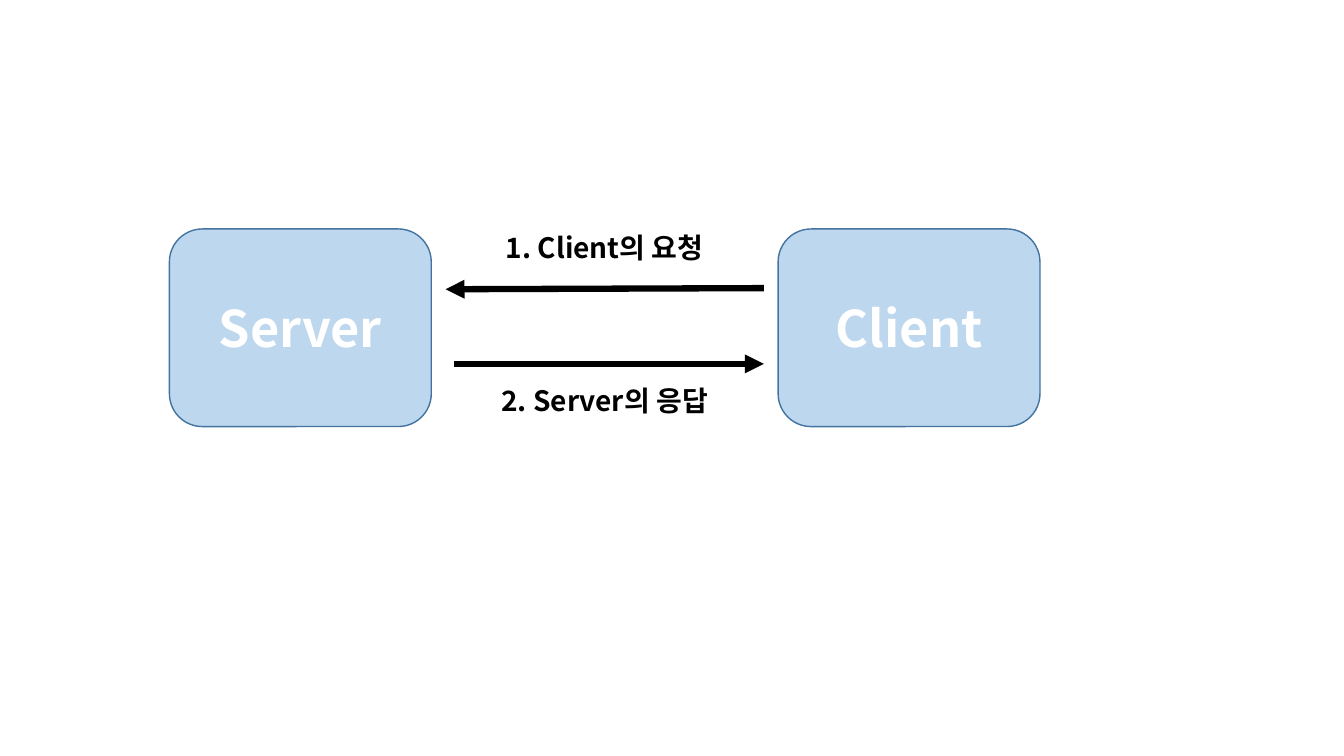
from lxml.etree import SubElement
from pptx import Presentation
from pptx.dml.color import RGBColor
from pptx.enum.shapes import MSO_CONNECTOR as Connector, MSO_SHAPE as Shape
from pptx.enum.text import MSO_ANCHOR as Anchor, MSO_AUTO_SIZE as AutoSize, PP_ALIGN as Align
from pptx.oxml.ns import qn
from pptx.util import Cm, Pt

FONT = "Noto Sans CJK KR"
COLORS = {"node": "BDD7EE", "border": "43739E", "node_text": "FFFFFF", "ink": "000000"}


def color(name):
    return RGBColor.from_string(COLORS[name])


def write(frame, text, size, color_name):
    """Add one bold, centred run to a text frame."""
    paragraph = frame.paragraphs[0]
    paragraph.alignment = Align.CENTER
    run = paragraph.add_run()
    run.text = text
    run.font.size = Pt(size)
    run.font.bold = True
    run.font.color.rgb = color(color_name)
    run.font.name = FONT
    # Hangul takes the East Asian typeface
    SubElement(run.font._element, qn("a:ea"), typeface=FONT)


def add_node(slide, text, left, top, width, height):
    node = slide.shapes.add_shape(
        Shape.ROUNDED_RECTANGLE, Cm(left), Cm(top), Cm(width), Cm(height))
    node.shadow.inherit = False
    node.fill.solid()
    node.fill.fore_color.rgb = color("node")
    node.line.color.rgb = color("border")
    node.line.width = Pt(1)
    node.text_frame.vertical_anchor = Anchor.MIDDLE
    write(node.text_frame, text, 36, "node_text")


def add_arrow(slide, start, end):
    arrow = slide.shapes.add_connector(
        Connector.STRAIGHT, *(Cm(value) for value in (*start, *end)))
    arrow.line.color.rgb = color("ink")
    arrow.line.width = Pt(4.5)
    SubElement(arrow.line._get_or_add_ln(), qn("a:tailEnd"), type="triangle")
    SubElement(arrow._element.spPr, qn("a:effectLst"))


def add_label(slide, text, center, top, width):
    label = slide.shapes.add_textbox(
        Cm(center - width / 2), Cm(top), Cm(width), Cm(1.12))
    frame = label.text_frame
    frame.word_wrap = False
    frame.auto_size = AutoSize.SHAPE_TO_FIT_TEXT
    write(frame, text, 20, "ink")


def add_exchange(slide, left, top, width):
    """Place the request and response arrows in the gap between the nodes."""
    center, right = left + width / 2, left + width - 0.36
    # Request
    add_arrow(slide, (right, top + 1.49), (left + 0.36, top + 1.52))
    add_label(slide, "1. Client의 요청", center, top - 0.08, 5.69)
    # Response
    add_arrow(slide, (left + 0.56, top + 3.4), (right, top + 3.4))
    add_label(slide, "2. Server의 응답", center, top + 3.78, 5.97)


def add_diagram(slide, left, top, width, height):
    node_width = 6.6
    add_node(slide, "Server", left, top, node_width, height)
    add_node(slide, "Client", left + width - node_width, top, node_width, height)
    add_exchange(slide, left + node_width, top, width - 2 * node_width)


presentation = Presentation()
presentation.slide_width, presentation.slide_height = Cm(33.87), Cm(19.05)
slide = presentation.slides.add_slide(presentation.slide_layouts[6])
add_diagram(slide, 4.27, 5.77, 21.94, 4.98)
presentation.save("out.pptx")
